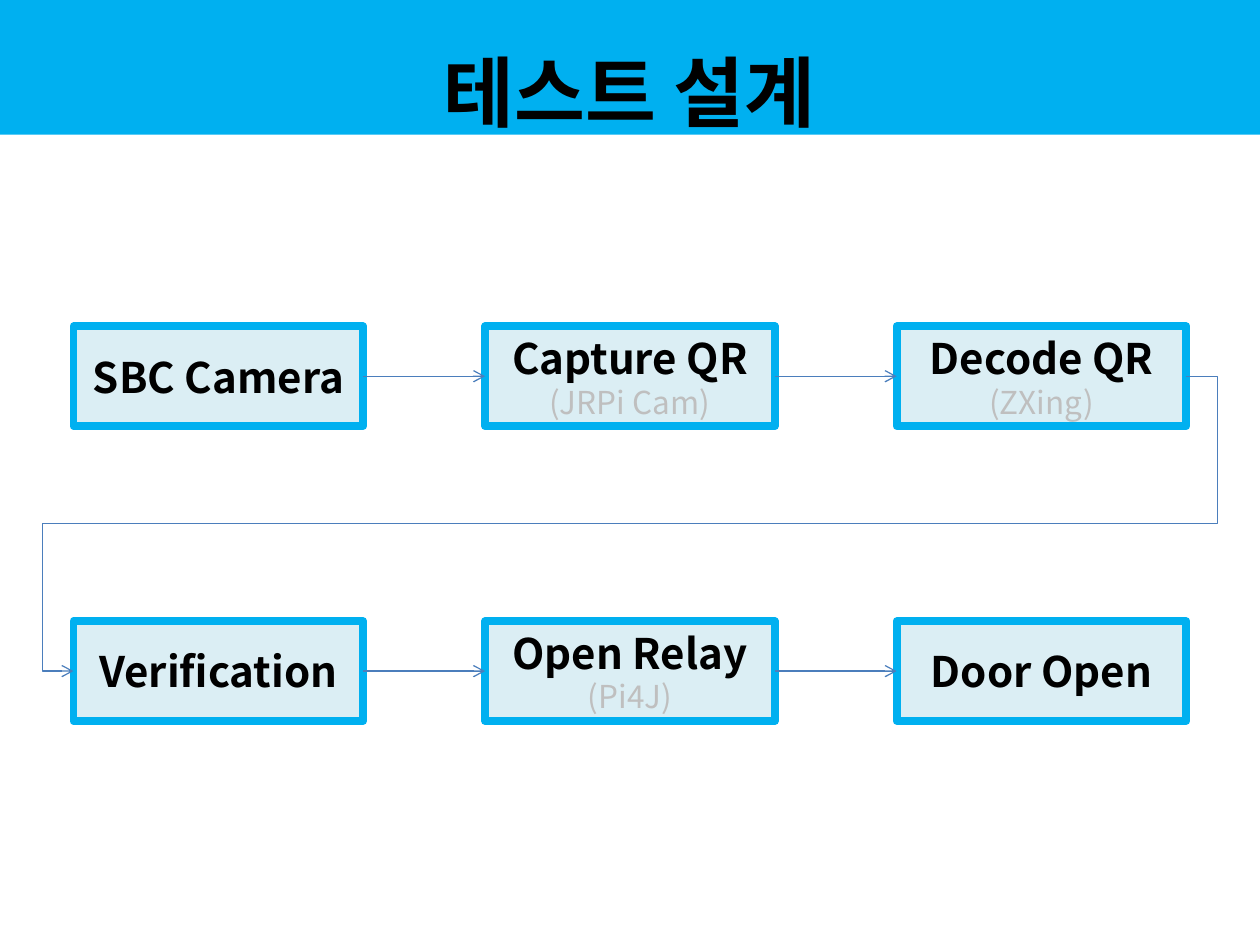
from lxml import etree
from pptx import Presentation
from pptx import util as u
from pptx.dml.color import RGBColor
from pptx.enum import shapes, text
from pptx.oxml.ns import qn

FONT = "Noto Sans CJK KR"
BLUE, PALE, LINE, GREY, BLACK = "00B0F0", "DBEEF4", "4B7EBC", "BFBFBF", "000000"
MARGIN, TOP, WIDTH, HEIGHT = 42, 186.5, 165.6, 57
COLUMN_STEP = (720 - 2 * MARGIN - WIDTH) / 2
ROW_STEP = 168.5


def write(paragraph, words, size, color, bold):
    paragraph.text = words
    paragraph.alignment = text.PP_ALIGN.CENTER
    font = paragraph.font
    font.name, font.size, font.bold = FONT, u.Pt(size), bold
    font.color.rgb = RGBColor.from_string(color)
    # Korean glyphs take the East Asian typeface
    font._element.find(qn("a:latin")).addnext(
        etree.Element(qn("a:ea"), typeface=FONT))


def add_arrow(kind, x1, y1, x2, y2):
    arrow = page.shapes.add_connector(kind, u.Pt(x1), u.Pt(y1), u.Pt(x2), u.Pt(y2))
    arrow.line.color.rgb = RGBColor.from_string(LINE)
    arrow.line.width = u.Pt(0.75)
    etree.SubElement(arrow.line._get_or_add_ln(), qn("a:tailEnd"), type="arrow")
    etree.SubElement(arrow._element.spPr, qn("a:effectLst"))
    return arrow


deck = Presentation()
deck.slide_width, deck.slide_height = u.Pt(720), u.Pt(540)
page = deck.slides.add_slide(deck.slide_layouts[0])
subtitle = page.placeholders[1]._element
subtitle.getparent().remove(subtitle)

# Title band
title = page.shapes.title
title.left, title.top, title.width, title.height = u.Pt(0), u.Pt(0), u.Pt(720), u.Pt(77)
title.fill.solid()
title.fill.fore_color.rgb = RGBColor.from_string(BLUE)
title.text_frame.auto_size = text.MSO_AUTO_SIZE.NONE
title.text_frame.vertical_anchor = text.MSO_ANCHOR.MIDDLE
heading = title.text_frame.paragraphs[0]
write(heading, "테스트 설계", 44, BLACK, True)
heading.line_spacing = 1.5

# Steps in two rows, with an arrow between neighbours
rows = [
    [("SBC Camera", ""), ("Capture QR", "(JRPi Cam)"), ("Decode QR", "(ZXing)")],
    [("Verification", ""), ("Open Relay", "(Pi4J)"), ("Door Open", "")],
]
for row, steps in enumerate(rows):
    y = TOP + row * ROW_STEP
    middle = y + HEIGHT / 2
    previous = None
    for column, (name, library) in enumerate(steps):
        x = MARGIN + column * COLUMN_STEP
        box = page.shapes.add_shape(shapes.MSO_SHAPE.RECTANGLE,
                                    u.Pt(x), u.Pt(y), u.Pt(WIDTH), u.Pt(HEIGHT))
        box.shadow.inherit = False
        box.fill.solid()
        box.fill.fore_color.rgb = RGBColor.from_string(PALE)
        box.line.color.rgb = RGBColor.from_string(BLUE)
        box.line.width = u.Pt(4.5)
        frame = box.text_frame
        frame.vertical_anchor = text.MSO_ANCHOR.MIDDLE
        write(frame.paragraphs[0], name, 24, BLACK, True)
        if library:
            write(frame.add_paragraph(), library, 18, GREY, False)
        if previous is not None:
            arrow = add_arrow(shapes.MSO_CONNECTOR.STRAIGHT,
                              x - COLUMN_STEP + WIDTH, middle, x, middle)
            arrow.begin_connect(previous, 3)
            arrow.end_connect(box, 1)
        previous = box

# Bent arrow from the end of the first row to the start of the second
first_middle = TOP + HEIGHT / 2
bend = add_arrow(shapes.MSO_CONNECTOR.ELBOW, 720 - MARGIN, first_middle,
                 MARGIN, first_middle + ROW_STEP)
geometry = bend._element.spPr.find(qn("a:prstGeom"))
geometry.set("prst", "bentConnector5")
guides = geometry.find(qn("a:avLst"))
for number, value in enumerate([-2800, 50000, 102800], 1):
    etree.SubElement(guides, qn("a:gd"), name=f"adj{number}", fmla=f"val {value}")

deck.save("out.pptx")
